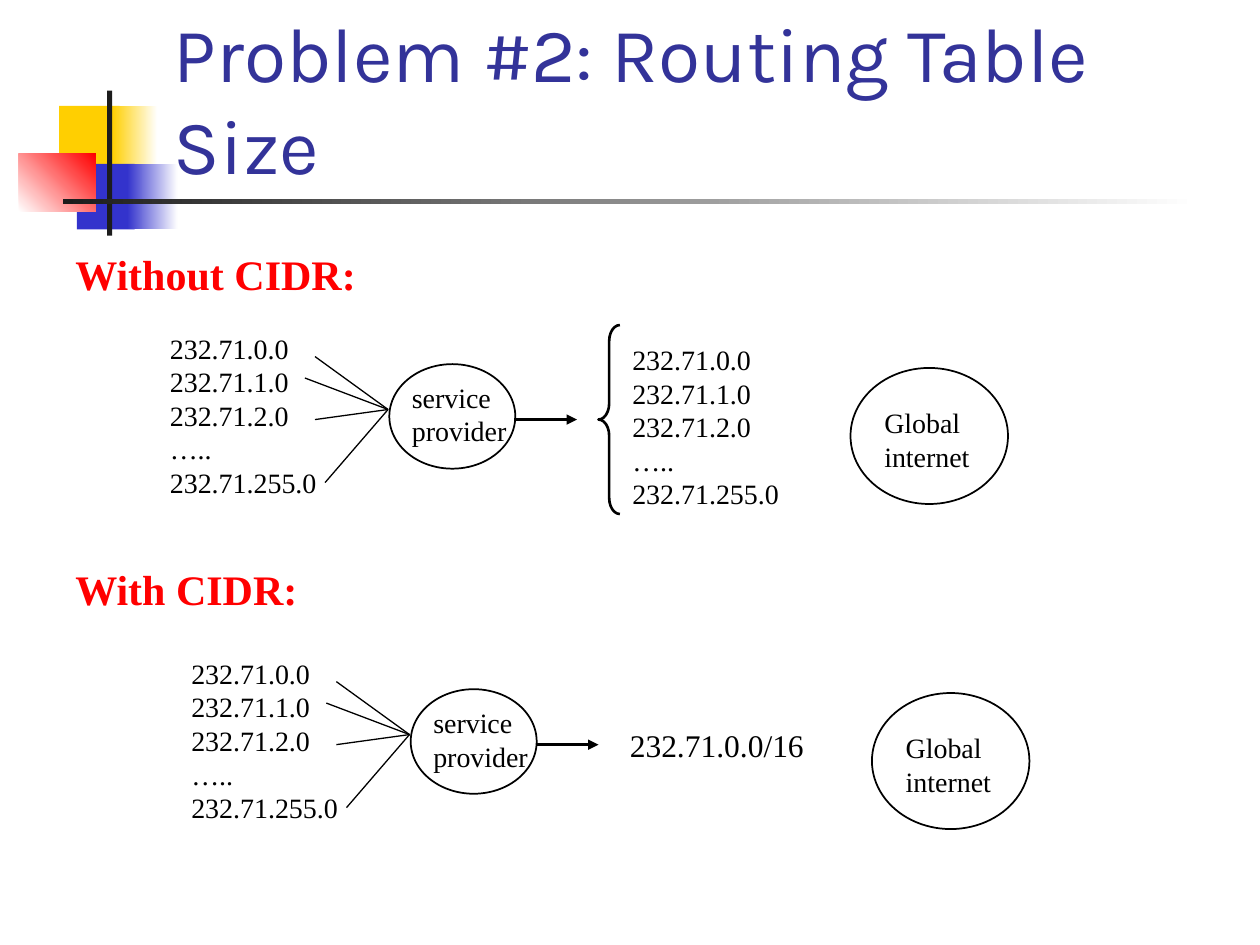
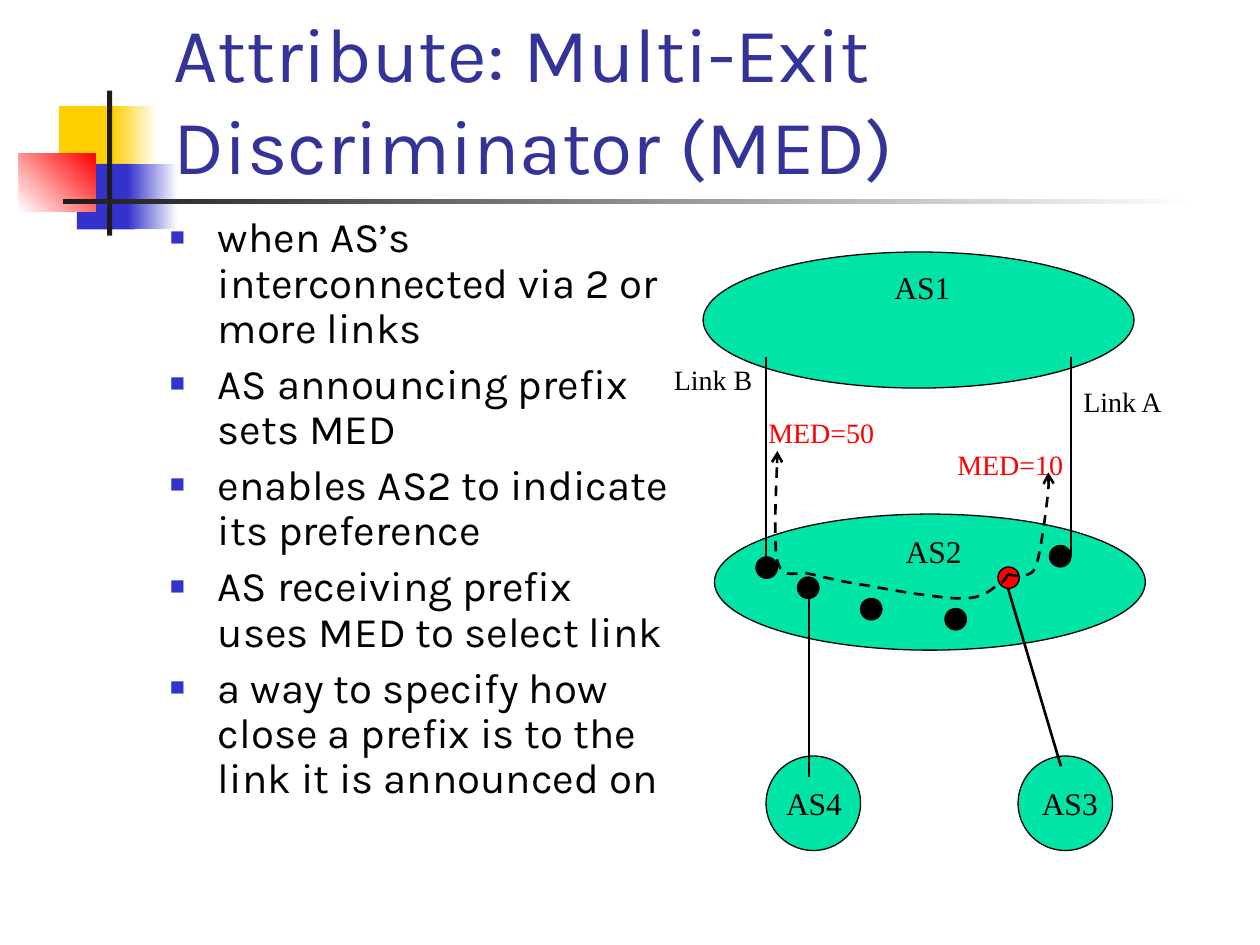
"""Build two slides on routing table size and the MED attribute."""
from dataclasses import dataclass
from typing import Optional

import lxml.etree
import pptx
import pptx.dml.color
import pptx.enum.dml
import pptx.enum.shapes
import pptx.enum.text
import pptx.oxml.ns
import pptx.util

Inches = pptx.util.Inches
Pt = pptx.util.Pt
qn = pptx.oxml.ns.qn
SHAPES = pptx.enum.shapes.MSO_SHAPE

COLORS = {
    "black": "000000",
    "white": "FFFFFF",
    "title": "333399",
    "blue": "3333CC",
    "yellow": "FFCF01",
    "red": "FF0000",
    "bar": "1C1C1C",
    "green": "00E4A8",
}
TITLE_FONT = "Karla"
LABEL_FONT = "Times New Roman"
Point = tuple[float, float]


@dataclass(frozen=True)
class Band:
    left: float
    top: float
    width: float
    height: float
    start: str
    end: Optional[str] = None
    angle: float = 0


@dataclass(frozen=True)
class Outline:
    left: float
    top: float
    width: float
    height: float
    fill: Optional[str] = None
    weight: float = 0.75
    kind: int = SHAPES.OVAL


@dataclass(frozen=True)
class Label:
    text: str
    left: float
    top: float
    width: float
    height: float
    size: int = 16
    color: str = "black"
    bold: bool = False


@dataclass(frozen=True)
class Link:
    start: Point
    end: Point
    weight: float = 1.5
    arrow: Optional[str] = None


BANDS = [
    Band(0.47, 0.84, 0.48, 0.52, "yellow"),
    Band(0.89, 0.84, 0.36, 0.52, "yellow", "white"),
    Band(0.61, 1.3, 0.46, 0.52, "blue"),
    Band(1.01, 1.3, 0.4, 0.52, "blue", "white"),
    Band(0.15, 1.22, 0.61, 0.46, "white", "red", 45),
    Band(0.85, 0.72, 0.04, 1.15, "bar"),
    Band(0.5, 1.58, 9, 0.04, "bar", "white"),
]
PREFIXES = "232.71.0.0\n232.71.1.0\n232.71.2.0\n…..\n232.71.255.0"
FAN_STARTS = [(2.5, 2.83), (2.42, 3), (2.5, 3.33), (2.58, 3.83)]
FAN_END = (3.08, 3.25)
BULLETS = [
    "when AS’s interconnected via 2 or more links",
    "AS announcing prefix sets MED",
    "enables AS2 to indicate its preference",
    "AS receiving prefix uses MED to select link",
    "a way to specify how close a prefix is to the link it is announced on",
]
DOT_SIZE = 0.17
DOTS = [
    (6, 4.42, "black"), (6.33, 4.58, "black"), (7.5, 4.83, "black"),
    (7.92, 4.5, "red"), (8.33, 4.33, "black"), (6.83, 4.75, "black"),
]
ROUTE_TO_LINK_A = [
    (8, 4.56), (8.06, 4.57), (8.12, 4.58), (8.16, 4.56), (8.2, 4.54),
    (8.21, 4.54), (8.24, 4.43), (8.27, 4.31), (8.31, 4), (8.32, 3.89),
    (8.33, 3.77), (8.32, 3.77), (8.32, 3.75),
]
ROUTE_TO_LINK_B = [
    (8, 4.56), (7.98, 4.59), (7.97, 4.62), (7.91, 4.65), (7.85, 4.69),
    (7.8, 4.75), (7.63, 4.75), (7.47, 4.75), (7.1, 4.69), (6.9, 4.65),
    (6.7, 4.62), (6.57, 4.59), (6.45, 4.56), (6.32, 4.52), (6.22, 4.62),
    (6.17, 4.46), (6.13, 4.3), (6.17, 3.73), (6.17, 3.58),
]


def rgb(name: str) -> pptx.dml.color.RGBColor:
    return pptx.dml.color.RGBColor.from_string(COLORS[name])


def format_runs(paragraph, font: str, size: int, color: str, bold: bool = False) -> None:
    for run in paragraph.runs:
        run.font.name = font
        run.font.size = Pt(size)
        run.font.color.rgb = rgb(color)
        run.font.bold = bold


def style_line(shape, weight: float, arrow: Optional[str] = None, dashed: bool = False) -> None:
    shape.line.color.rgb = rgb("black")
    shape.line.width = Pt(weight)
    if dashed:
        shape.line.dash_style = pptx.enum.dml.MSO_LINE.DASH
    if arrow:
        line = shape.element.spPr.find(qn("a:ln"))
        lxml.etree.SubElement(line, qn("a:tailEnd"), type=arrow)


def add_band(slide, band: Band) -> None:
    shape = slide.shapes.add_shape(
        SHAPES.RECTANGLE, Inches(band.left), Inches(band.top), Inches(band.width), Inches(band.height)
    )
    shape.shadow.inherit = False
    shape.line.fill.background()
    if band.end is None:
        shape.fill.solid()
        shape.fill.fore_color.rgb = rgb(band.start)
        return
    shape.fill.gradient()
    shape.fill.gradient_angle = band.angle
    for stop, color in zip(shape.fill.gradient_stops, (band.start, band.end)):
        stop.color.rgb = rgb(color)


def add_outline(slide, outline: Outline):
    shape = slide.shapes.add_shape(
        outline.kind, Inches(outline.left), Inches(outline.top), Inches(outline.width), Inches(outline.height)
    )
    shape.shadow.inherit = False
    if outline.fill:
        shape.fill.solid()
        shape.fill.fore_color.rgb = rgb(outline.fill)
    else:
        shape.fill.background()
    style_line(shape, outline.weight)
    return shape


def add_label(slide, label: Label) -> None:
    box = slide.shapes.add_textbox(
        Inches(label.left), Inches(label.top), Inches(label.width), Inches(label.height)
    )
    box.text_frame.word_wrap = False
    box.text_frame.auto_size = pptx.enum.text.MSO_AUTO_SIZE.SHAPE_TO_FIT_TEXT
    box.text_frame.margin_right = Inches(0)
    box.text_frame.text = label.text
    for paragraph in box.text_frame.paragraphs:
        format_runs(paragraph, LABEL_FONT, label.size, label.color, label.bold)


def add_link(slide, link: Link) -> None:
    ends = [Inches(value) for value in (*link.start, *link.end)]
    connector = slide.shapes.add_connector(pptx.enum.shapes.MSO_CONNECTOR.STRAIGHT, *ends)
    style_line(connector, link.weight, link.arrow)
    lxml.etree.SubElement(connector.element.spPr, qn("a:effectLst"))


def curve_points(controls: list[Point], steps: int = 8) -> list[Point]:
    points = [controls[0]]
    for first in range(0, len(controls) - 1, 3):
        segment = controls[first:first + 4]
        for step in range(1, steps + 1):
            t = step / steps
            weights = ((1 - t) ** 3, 3 * t * (1 - t) ** 2, 3 * t * t * (1 - t), t ** 3)
            x, y = (sum(w * p[axis] for w, p in zip(weights, segment)) for axis in (0, 1))
            points.append((x, y))
    return points


def add_route(slide, controls: list[Point]) -> None:
    points = [(Inches(x), Inches(y)) for x, y in curve_points(controls)]
    builder = slide.shapes.build_freeform(*points[0])
    builder.add_line_segments(points[1:], close=False)
    shape = builder.convert_to_shape()
    shape.shadow.inherit = False
    shape.fill.background()
    style_line(shape, 1.5, "arrow", dashed=True)


def add_titled_slide(presentation, title: str):
    slide = presentation.slides.add_slide(presentation.slide_layouts[6])
    for band in BANDS:
        add_band(slide, band)
    box = slide.shapes.add_textbox(Inches(1.28), Inches(0.31), Inches(8.52), Inches(1.25))
    box.text_frame.word_wrap = True
    box.text_frame.vertical_anchor = pptx.enum.text.MSO_ANCHOR.BOTTOM
    box.text_frame.text = title
    format_runs(box.text_frame.paragraphs[0], TITLE_FONT, 44, "title")
    return slide


def add_bullets(slide, items: list[str]) -> None:
    box = slide.shapes.add_textbox(Inches(1.25), Inches(1.67), Inches(4.19), Inches(5.04))
    box.text_frame.word_wrap = True
    box.text_frame.text = "\n".join(items)
    for index, paragraph in enumerate(box.text_frame.paragraphs):
        properties = paragraph._p.get_or_add_pPr()
        properties.set("marL", str(Inches(0.38)))
        properties.set("indent", str(-Inches(0.38)))
        color = lxml.etree.SubElement(properties, qn("a:buClr"))
        lxml.etree.SubElement(color, qn("a:srgbClr"), val=COLORS["blue"])
        lxml.etree.SubElement(properties, qn("a:buSzPct"), val="60000")
        lxml.etree.SubElement(properties, qn("a:buFont"), typeface=LABEL_FONT)
        lxml.etree.SubElement(properties, qn("a:buChar"), char="■")
        paragraph.line_spacing = 0.9
        paragraph.space_before = Pt(6 if index else 0)
        format_runs(paragraph, TITLE_FONT, 24, "black")


def add_provider_diagram(slide, dx: float, dy: float) -> None:
    add_outline(slide, Outline(3.09 + dx, 2.89 + dy, 1, 0.83, weight=1))
    add_label(slide, Label("service\nprovider", 3.17 + dx, 2.97 + dy, 0.95, 0.64))
    add_label(slide, Label(PREFIXES, 1.25 + dx, 2.58 + dy, 1.36, 1.44))
    for x, y in FAN_STARTS:
        add_link(slide, Link((x + dx, y + dy), (FAN_END[0] + dx, FAN_END[1] + dy), 0.75))
    add_link(slide, Link((4.08 + dx, 3.33 + dy), (4.58 + dx, 3.33 + dy), arrow="triangle"))
    add_outline(slide, Outline(6.75 + dx, 2.92 + dy, 1.25, 1.08, weight=1))
    add_label(slide, Label("Global\ninternet", 6.92 + dx, 3.17 + dy, 0.87, 0.64))


def build_routing_slide(presentation) -> None:
    slide = add_titled_slide(presentation, "Problem #2: Routing Table Size")
    add_provider_diagram(slide, 0, 0)
    add_provider_diagram(slide, 0.17, 2.58)
    brace = add_outline(slide, Outline(4.75, 2.58, 0.17, 1.5, weight=1.5, kind=SHAPES.LEFT_BRACE))
    brace.adjustments[0] = 0.75
    for label in (
        Label(PREFIXES, 4.92, 2.67, 1.36, 1.44),
        Label("232.71.0.0/16", 4.9, 5.71, 1.58, 0.4, 18),
        Label("Without CIDR:", 0.5, 1.92, 2.43, 0.5, 24, "red", True),
        Label("With CIDR:", 0.5, 4.42, 1.97, 0.5, 24, "red", True),
    ):
        add_label(slide, label)


def build_med_slide(presentation) -> None:
    slide = add_titled_slide(presentation, "Attribute: Multi-Exit Discriminator (MED)")
    add_bullets(slide, BULLETS)
    for left, top in ((5.58, 2), (5.67, 4.08)):
        add_outline(slide, Outline(left, top, 3.42, 1.08, "green"))
    for x in (6.08, 8.5):
        add_link(slide, Link((x, 2.83), (x, 4.42)))
    for left, top, color in DOTS:
        add_outline(slide, Outline(left, top, DOT_SIZE, DOT_SIZE, color))
    for route in (ROUTE_TO_LINK_A, ROUTE_TO_LINK_B):
        add_route(slide, route)
    for left in (8.08, 6.08):
        add_outline(slide, Outline(left, 6, 0.75, 0.75, "green"))
    for label in (
        Label("Link B", 5.25, 2.83, 0.82, 0.37),
        Label("Link A", 8.5, 3, 0.83, 0.37),
        Label("MED=10", 7.5, 3.5, 1.04, 0.37, color="red"),
        Label("MED=50", 6, 3.25, 1.04, 0.37, color="red"),
        Label("AS1", 7, 2.08, 0.64, 0.4, 18),
        Label("AS2", 7.09, 4.17, 0.64, 0.4, 18),
        Label("AS4", 6.14, 6.17, 0.64, 0.4, 18),
        Label("AS3", 8.17, 6.17, 0.64, 0.4, 18),
    ):
        add_label(slide, label)
    add_link(slide, Link((6.42, 4.75), (6.42, 6.17)))
    add_link(slide, Link((8, 4.67), (8.42, 6.08)))


def main() -> None:
    presentation = pptx.Presentation()
    presentation.slide_width = Inches(10)
    presentation.slide_height = Inches(7.5)
    build_routing_slide(presentation)
    build_med_slide(presentation)
    presentation.save("out.pptx")


if __name__ == "__main__":
    main()
